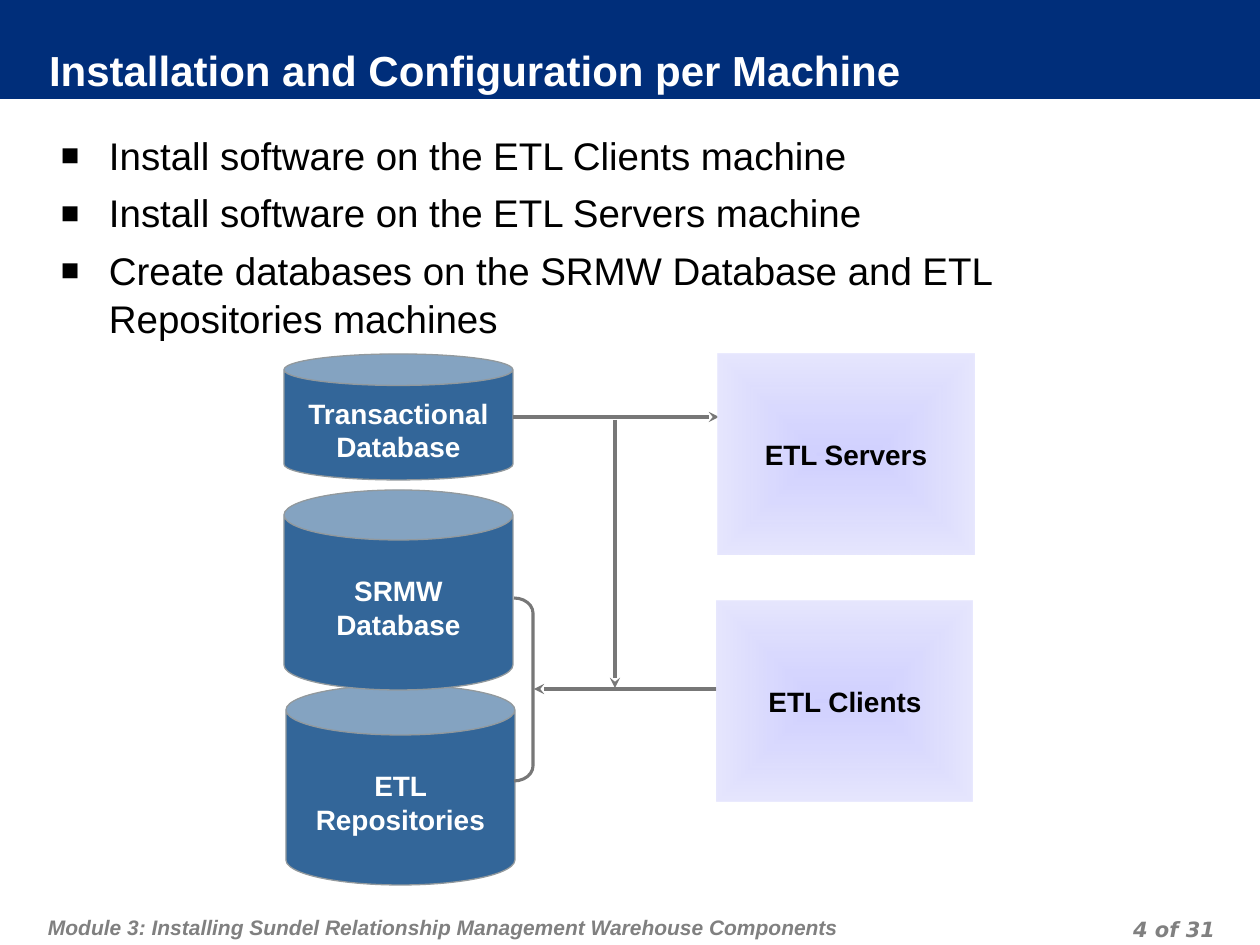
from lxml import etree
from pptx import Presentation
from pptx.dml.color import RGBColor
from pptx.enum.shapes import MSO_CONNECTOR, MSO_SHAPE
from pptx.enum.text import MSO_ANCHOR, PP_ALIGN
from pptx.oxml import parse_xml
from pptx.oxml.ns import nsdecls, qn
from pptx.util import Emu, Pt

LEFT, CENTER, RIGHT = PP_ALIGN.LEFT, PP_ALIGN.CENTER, PP_ALIGN.RIGHT
TOP, MIDDLE = MSO_ANCHOR.TOP, MSO_ANCHOR.MIDDLE
RECT, CAN, BRACKET = MSO_SHAPE.RECTANGLE, MSO_SHAPE.CAN, MSO_SHAPE.RIGHT_BRACKET
STRAIGHT = MSO_CONNECTOR.STRAIGHT

NAVY, BLUE, EDGE, GRAY = "002E7A", "336699", "92999D", "777777"
WHITE, BLACK, FOOT = "FFFFFF", "000000", "808080"


def px(n):
    return Emu(round(n * 914400 / 126))


def rgb(value):
    return RGBColor.from_string(value)


def write(shape, lines, margins, color, align=LEFT, anchor=TOP, para=None, **font):
    """Fill a text frame; margins are left, top, right, bottom in px."""
    tf = shape.text_frame
    tf.word_wrap = True
    tf.vertical_anchor = anchor
    for side, margin in zip(("left", "top", "right", "bottom"), margins):
        setattr(tf, f"margin_{side}", px(margin))
    for i, line in enumerate(lines):
        p = tf.paragraphs[0] if i == 0 else tf.add_paragraph()
        p.alignment = align
        for name, value in (para or {}).items():
            if i or name != "space_before":
                setattr(p, name, value)
        r = p.add_run()
        r.text = line
        r.font.color.rgb = rgb(color)
        for name, value in {"name": "Arial", **font}.items():
            setattr(r.font, name, value)
    return tf


def add_shape(s, kind, box, fill=None, line=None, width=0.75):
    sp = s.shapes.add_shape(kind, *map(px, box))
    sp.shadow.inherit = False
    if fill:
        sp.fill.solid()
        sp.fill.fore_color.rgb = rgb(fill)
    else:
        sp.fill.background()
    if line:
        sp.line.color.rgb = rgb(line)
        sp.line.width = Pt(width)
    else:
        sp.line.fill.background()
    return sp


def add_arrow(s, x1, y1, x2, y2):
    c = s.shapes.add_connector(STRAIGHT, *map(px, (x1, y1, x2, y2)))
    c.line.color.rgb = rgb(GRAY)
    c.line.width = Pt(1.75)
    etree.SubElement(c.line._get_or_add_ln(), qn("a:tailEnd"), type="stealth")
    etree.SubElement(c._element.spPr, qn("a:effectLst"))


def add_header(s, box, text):
    x, y, w, h = box
    bar = add_shape(s, RECT, box, NAVY)
    s.shapes._spTree.insert(2, bar._element)  # behind the title
    title = s.shapes.title
    title.left, title.top, title.width, title.height = map(
        px, (x + 49, y + 48, 992, h - 49))
    write(title, [text], (0, 0, 6, 6), WHITE, anchor=MIDDLE,
          size=Pt(24), bold=True)


def add_bullets(s, box, lines):
    body = s.shapes.add_textbox(*map(px, box))
    tf = write(body, lines, (13, 13, 13, 6), BLACK, size=Pt(22),
               para={"space_before": Pt(5.5), "line_spacing": 1.04})
    for p in tf.paragraphs:
        pPr = p._p.get_or_add_pPr()
        pPr.set("marL", str(px(48)))
        pPr.set("indent", str(px(-48)))
        color = etree.SubElement(pPr, qn("a:buClr"))
        etree.SubElement(color, qn("a:srgbClr"), val=BLACK)
        etree.SubElement(pPr, qn("a:buSzPct"), val="80000")
        etree.SubElement(pPr, qn("a:buFont"), typeface="Arial")
        etree.SubElement(pPr, qn("a:buChar"), char="■")


def add_database(s, box, text):
    can = add_shape(s, CAN, box, BLUE, EDGE)
    can.adjustments[0] = 0.25
    write(can, [text], (12, 16, 12, 6), WHITE, CENTER, MIDDLE,
          size=Pt(16), bold=True)


def add_machine(s, box, text):
    sp = add_shape(s, RECT, box)
    spPr = sp._element.spPr
    spPr.replace(spPr.find(qn("a:noFill")), parse_xml(
        f'<a:gradFill {nsdecls("a")} rotWithShape="1"><a:gsLst>'
        '<a:gs pos="0"><a:srgbClr val="CCCCFF"><a:alpha val="90000"/></a:srgbClr></a:gs>'
        '<a:gs pos="100000"><a:srgbClr val="E7E7FE"/></a:gs></a:gsLst>'
        '<a:path path="rect"><a:fillToRect l="50000" t="50000" r="50000" b="50000"/>'
        '</a:path></a:gradFill>'))
    write(sp, [text], (13, 6, 13, 6), BLACK, CENTER, MIDDLE,
          size=Pt(16), bold=True)


def add_diagram(s, box):
    x, y, w, h = box
    # Databases, lowest first so that upper ones overlap it
    for dx, dy, height, text in ((2, 331, 200, "ETL Repositories"),
                                 (0, 136, 200, "SRMW Database"),
                                 (0, 0, 126, "Transactional Database")):
        add_database(s, (x + dx, y + dy, 229, height), text)
    # Data flow
    add_arrow(s, x + 229, y + 63, x + 435, y + 63)
    bracket = add_shape(s, BRACKET, (x + 230, y + 244, 19, 183), None, GRAY, 1.75)
    bracket.adjustments[0] = 0.8
    add_arrow(s, x + 435, y + 335, x + 250, y + 335)
    add_arrow(s, x + 331, y + 66, x + 331, y + 334)
    # Machines
    for dx, dy, text in ((1, 0, "ETL Servers"), (0, 247, "ETL Clients")):
        add_machine(s, (x + w - 257 + dx, y + dy, 256, 201), text)


def add_footer(s, box, text, page):
    x, y, w, h = box
    style = {"size": Pt(12), "bold": True, "italic": True,
             "para": {"line_spacing": Pt(18)}}
    left = s.shapes.add_textbox(*map(px, (x, y, 834, h)))
    write(left, [text], (6, 13, 6, 6), FOOT, **style)
    right = s.shapes.add_textbox(*map(px, (x + w - 294, y + 15, 294, 32)))
    write(right, [page], (6, 0, 6, 0), FOOT, RIGHT, name="DejaVu Sans", **style)


def main():
    prs = Presentation()
    prs.slide_width, prs.slide_height = px(1260), px(945)
    s = prs.slides.add_slide(prs.slide_layouts[5])
    add_header(s, (0, 0, 1260, 99), "Installation and Configuration per Machine")
    add_bullets(s, (48, 117, 1172, 230), [
        "Install software on the ETL Clients machine",
        "Install software on the ETL Servers machine",
        "Create databases on the SRMW Database and ETL Repositories machines"])
    add_diagram(s, (284, 354, 690, 531))
    add_footer(s, (42, 895, 1179, 50),
               "Module 3: Installing Sundel Relationship Management Warehouse Components",
               "4 of 31")
    prs.save("out.pptx")


if __name__ == "__main__":
    main()
